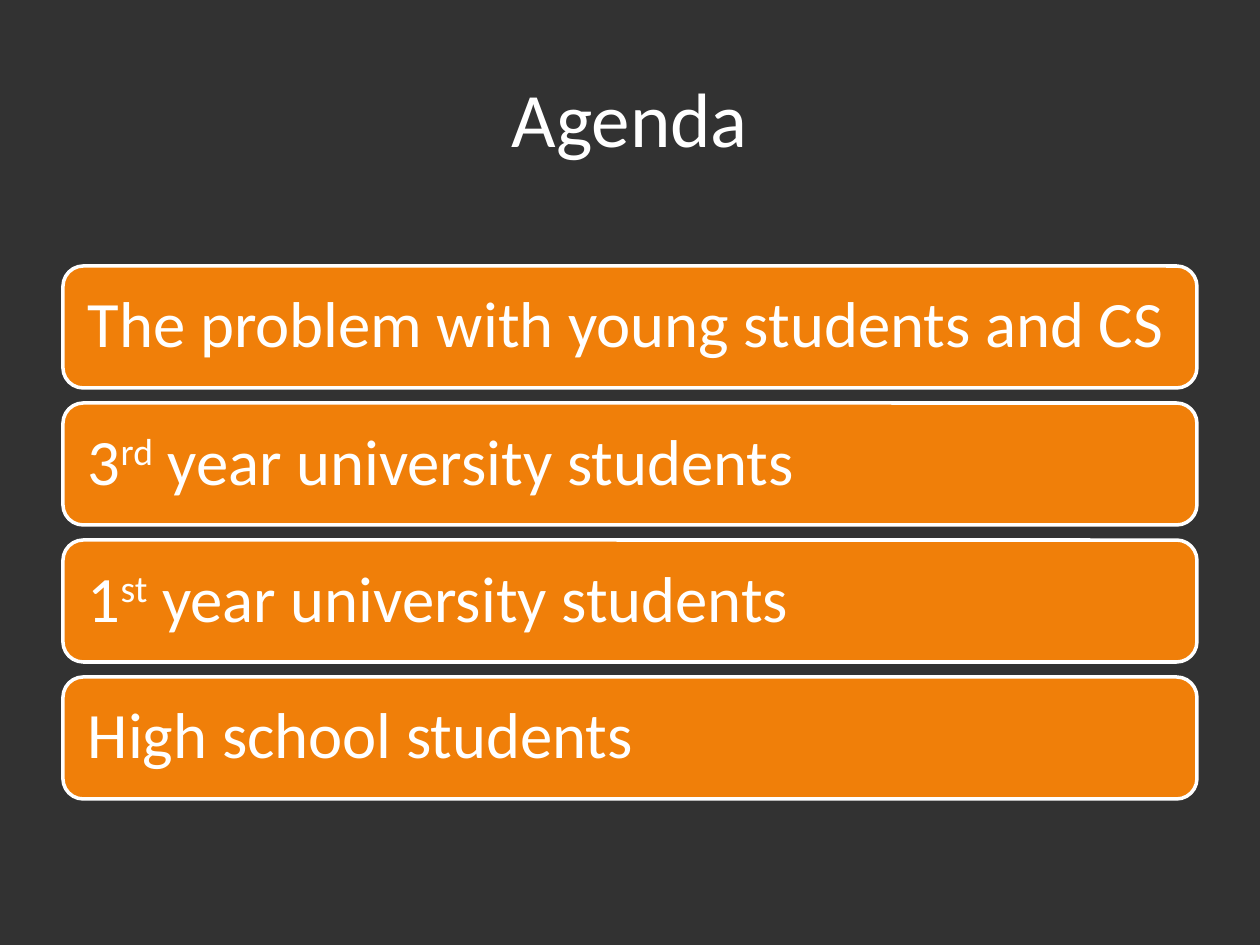
import pptx
import pptx.dml.color
import pptx.enum.shapes
import pptx.enum.text
import pptx.util

PX = pptx.util.Inches(1) // 126
DARK = pptx.dml.color.RGBColor(0x32, 0x32, 0x32)
ORANGE = pptx.dml.color.RGBColor(0xF0, 0x7F, 0x09)
WHITE = pptx.dml.color.RGBColor(0xFF, 0xFF, 0xFF)
FONT = "Calibri"
MARGIN, CONTENT_WIDTH = 63, 1134
BAR_TOP, BAR_HEIGHT, BAR_STEP = 266, 122, 137
TOPICS = [
    ("The problem with young students and CS",),
    ("3", "rd", " year university students"),
    ("1", "st", " year university students"),
    ("High school students",),
]


def px(*lengths):
    """Turn pixel lengths into EMU."""
    return [length * PX for length in lengths]


def write_line(box, spans, size, alignment):
    """Write one vertically centred line, raising its second span."""
    frame = box.text_frame
    frame.word_wrap = True
    frame.vertical_anchor = pptx.enum.text.MSO_ANCHOR.MIDDLE
    para = frame.paragraphs[0]
    para.alignment = alignment
    for index, text in enumerate(spans):
        span = para.add_run()
        span.text = text
        span.font.name = FONT
        span.font.size = pptx.util.Pt(size)
        span.font.color.rgb = WHITE
        if index == 1:
            span._r.get_or_add_rPr().set("baseline", "30000")
    return para


def add_title(slide, text):
    """Add the centred slide title."""
    box = slide.shapes.add_textbox(*px(MARGIN, 38, CONTENT_WIDTH, 157))
    write_line(box, (text,), 44, pptx.enum.text.PP_ALIGN.CENTER)


def add_topic_bar(slide, top, spans):
    """Add one rounded agenda bar with its topic."""
    bar = slide.shapes.add_shape(
        pptx.enum.shapes.MSO_SHAPE.ROUNDED_RECTANGLE,
        *px(MARGIN, top, CONTENT_WIDTH, BAR_HEIGHT))
    bar.shadow.inherit = False
    bar.fill.solid()
    bar.fill.fore_color.rgb = ORANGE
    bar.line.color.rgb = WHITE
    bar.line.width = pptx.util.Pt(2)
    frame = bar.text_frame
    frame.margin_left, frame.margin_top, frame.margin_right, frame.margin_bottom = px(19, 19, 19, 19)
    para = write_line(bar, spans, 37, pptx.enum.text.PP_ALIGN.LEFT)
    para.line_spacing = 0.9


def main():
    """Build and save the agenda slide."""
    deck = pptx.Presentation()
    deck.slide_width, deck.slide_height = px(1260, 945)
    slide = deck.slides.add_slide(deck.slide_layouts[6])
    slide.background.fill.solid()
    slide.background.fill.fore_color.rgb = DARK
    add_title(slide, "Agenda")
    for index, spans in enumerate(TOPICS):
        add_topic_bar(slide, BAR_TOP + index * BAR_STEP, spans)
    deck.save("out.pptx")


if __name__ == "__main__":
    main()
